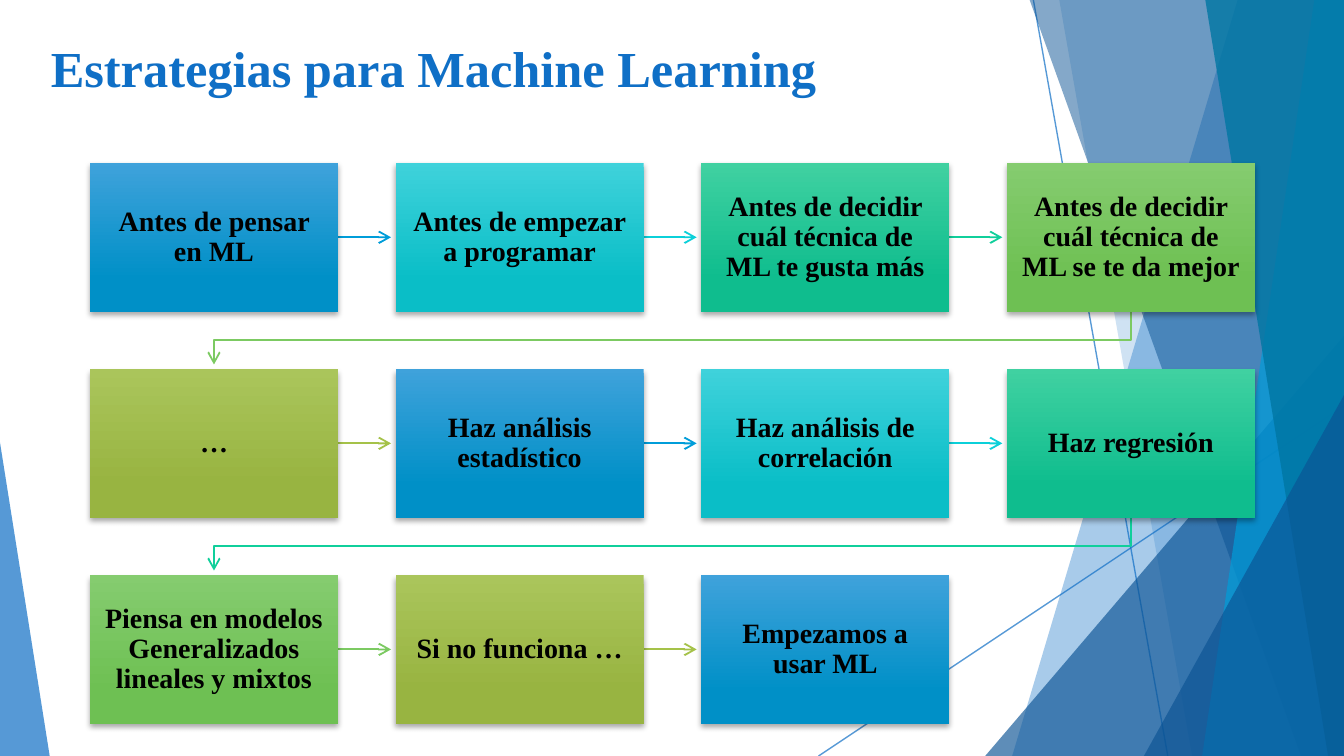
import pptx
import pptx.util
import pptx.dml.color
import pptx.enum.shapes
import pptx.enum.text
import pptx.oxml
import pptx.oxml.ns

Cm = pptx.util.Cm
Pt = pptx.util.Pt
RGBColor = pptx.dml.color.RGBColor
qn = pptx.oxml.ns.qn
PRESETS = pptx.enum.shapes.MSO_SHAPE
STRAIGHT = pptx.enum.shapes.MSO_CONNECTOR.STRAIGHT
ANCHORS = pptx.enum.text.MSO_ANCHOR
ALIGNMENTS = pptx.enum.text.PP_ALIGN

WIDTH, HEIGHT = Cm(25.4), Cm(14.29)
FONT = "Times New Roman"
BLACK = RGBColor(0x00, 0x00, 0x00)
BLUE = RGBColor(0x0F, 0x6F, 0xC6)
NAVY = RGBColor(0x0B, 0x53, 0x94)
SKY = RGBColor(0x00, 0x9D, 0xD9)
PETROL = RGBColor(0x00, 0x76, 0xA3)

# Arrow colour, gradient top, gradient bottom; steps cycle through these
STEP_COLOURS = [
    (SKY, RGBColor(0x3F, 0xA2, 0xDB), RGBColor(0x00, 0x90, 0xC7)),
    (RGBColor(0x0B, 0xD0, 0xD9), RGBColor(0x3F, 0xD2, 0xDB), RGBColor(0x0A, 0xBE, 0xC7)),
    (RGBColor(0x10, 0xCF, 0x9B), RGBColor(0x40, 0xD1, 0xA1), RGBColor(0x0F, 0xBD, 0x8E)),
    (RGBColor(0x7C, 0xCA, 0x62), RGBColor(0x85, 0xCC, 0x6F), RGBColor(0x6E, 0xC0, 0x53)),
    (RGBColor(0xA5, 0xC2, 0x49), RGBColor(0xAA, 0xC5, 0x5B), RGBColor(0x98, 0xB4, 0x41)),
]

STEPS = [
    "Antes de pensar en ML",
    "Antes de empezar a programar",
    "Antes de decidir cuál técnica de ML te gusta más",
    "Antes de decidir cuál técnica de ML se te da mejor",
    "…",
    "Haz análisis estadístico",
    "Haz análisis de correlación",
    "Haz regresión",
    "Piensa en modelos Generalizados lineales y mixtos",
    "Si no funciona …",
    "Empezamos a usar ML",
]
COLUMNS = 4


def add_xml(parent, tag, attributes="", children=""):
    ns = pptx.oxml.ns.nsdecls("a")
    parent.append(pptx.oxml.parse_xml(f"<a:{tag} {ns} {attributes}>{children}</a:{tag}>"))


def set_opacity(shape, percent):
    colour = shape.element.spPr.find(".//" + qn("a:srgbClr"))
    add_xml(colour, "alpha", f'val="{percent * 1000}"')


def paint_panel(panel, colour, opacity):
    panel.shadow.inherit = False
    panel.fill.solid()
    panel.fill.fore_color.rgb = colour
    panel.line.fill.background()
    set_opacity(panel, opacity)


def add_line(slide, start, end, colour, weight):
    line = slide.shapes.add_connector(STRAIGHT, *start, *end)
    line.line.color.rgb = colour
    line.line.width = Pt(weight)
    add_xml(line.element.spPr, "effectLst")
    return line


def add_arrowhead(line):
    add_xml(line.element.spPr.find(qn("a:ln")), "tailEnd", 'type="arrow"')


def add_facets(slide, left, top, width, height):
    """Translucent panels that fan out along the sides of the box."""
    right, bottom = left + width, top + height

    def slanted(top_x, bottom_x, colour, opacity):
        outline = slide.shapes.build_freeform(left + Cm(top_x), top)
        outline.add_line_segments(
            [(right, top), (right, bottom), (left + Cm(bottom_x), bottom)])
        paint_panel(outline.convert_to_shape(), colour, opacity)

    def corner(x, y, panel_width, apex, colour, opacity):
        panel = slide.shapes.add_shape(
            PRESETS.ISOSCELES_TRIANGLE, left + Cm(x), top + Cm(y),
            panel_width, height - Cm(y))
        panel.adjustments[0] = apex
        paint_panel(panel, colour, opacity)

    for start, end in [((19.53, 0), (22.07, 14.29)), ((25.4, 7.67), (15.47, 14.29))]:
        line = add_line(slide, (left + Cm(start[0]), top + Cm(start[1])),
                        (left + Cm(end[0]), top + Cm(end[1])), BLUE, 0.75)
        set_opacity(line, 70)
    slanted(23.39, 19.13, BLUE, 36)
    slanted(20.02, 22.53, BLUE, 20)
    corner(18.62, 6.35, width - Cm(18.62), 1, NAVY, 66)
    slanted(19.46, 24.59, NAVY, 50)
    slanted(24.84, 22.72, SKY, 70)
    slanted(22.78, 25.1, PETROL, 80)
    corner(21.62, 7.47, width - Cm(21.62), 1, NAVY, 66)
    corner(0, 8.36, Cm(0.94), 0, BLUE, 70)


def style_text(frame, size, colour, anchor, alignment, side_inset):
    frame.word_wrap = True
    frame.auto_size = pptx.enum.text.MSO_AUTO_SIZE.NONE
    frame.vertical_anchor = anchor
    frame.margin_left = frame.margin_right = Cm(side_inset)
    frame.margin_top = frame.margin_bottom = Cm(0.25)
    paragraph = frame.paragraphs[0]
    paragraph.alignment = alignment
    paragraph.line_spacing = 0.9 if anchor == ANCHORS.MIDDLE else 1.0
    font = paragraph.runs[0].font
    font.name, font.size, font.bold = FONT, Pt(size), True
    font.color.rgb = colour


def add_title(slide, left, top, width, height):
    title = slide.shapes.title
    title.left, title.top, title.width, title.height = left, top, width, height
    title.text_frame.text = "Estrategias para Machine Learning"
    style_text(title.text_frame, 27, BLUE, ANCHORS.BOTTOM, ALIGNMENTS.LEFT, 0.25)


def add_step(slide, text, colours, left, top, width, height):
    step = slide.shapes.add_shape(PRESETS.RECTANGLE, left, top, width, height)
    step.fill.gradient()
    step.fill.gradient_angle = 270
    for stop, colour, position in zip(step.fill.gradient_stops, colours, (0, 0.78)):
        stop.color.rgb = colour
        stop.position = position
    step.line.fill.background()
    step.shadow.inherit = False
    add_xml(step.element.spPr.find(qn("a:effectLst")), "outerShdw",
            f'blurRad="{Pt(3)}" dist="{Pt(2)}" dir="5400000" rotWithShape="0"',
            '<a:srgbClr val="000000"><a:alpha val="35000"/></a:srgbClr>')
    step.text_frame.text = text
    style_text(step.text_frame, 15, BLACK, ANCHORS.MIDDLE, ALIGNMENTS.CENTER, 0.23)


def add_return_arrow(slide, start, end, colour):
    """Arrow that runs from the end of one row to the start of the next."""
    bend = start[1] + Cm(0.54)
    route = slide.shapes.build_freeform(*start)
    route.add_line_segments([(start[0], bend), (end[0], bend), end], close=False)
    arrow = route.convert_to_shape()
    arrow.shadow.inherit = False
    arrow.fill.background()
    arrow.line.color.rgb = colour
    arrow.line.width = Pt(1)
    add_arrowhead(arrow)


def add_process(slide, left, top, width, height):
    """Steps in rows, joined in reading order."""
    step_width, step_height, reach = Cm(4.69), Cm(2.81), Cm(1)
    rows = -(-len(STEPS) // COLUMNS)
    pitch_x = (width - step_width) // (COLUMNS - 1)
    pitch_y = (height - step_height) // (rows - 1)
    for index, text in enumerate(STEPS):
        row, column = divmod(index, COLUMNS)
        x, y = left + column * pitch_x, top + row * pitch_y
        arrow_colour, *gradient = STEP_COLOURS[index % len(STEP_COLOURS)]
        if index < len(STEPS) - 1:
            if column < COLUMNS - 1:
                start = (x + step_width, y + step_height // 2)
                end = (start[0] + reach, start[1])
                add_arrowhead(add_line(slide, start, end, arrow_colour, 1))
            else:
                start = (x + step_width // 2, y + step_height)
                end = (left + step_width // 2, start[1] + reach)
                add_return_arrow(slide, start, end, arrow_colour)
        add_step(slide, text, gradient, x, y, step_width, step_height)


def main():
    presentation = pptx.Presentation()
    presentation.slide_width, presentation.slide_height = WIDTH, HEIGHT
    slide = presentation.slides.add_slide(presentation.slide_layouts[5])
    add_facets(slide, 0, 0, WIDTH, HEIGHT)
    add_title(slide, Cm(0.71), Cm(0.58), Cm(17.91), Cm(1.52))
    add_process(slide, Cm(1.7), Cm(3.08), Cm(22.02), Cm(10.6))
    presentation.save("out.pptx")


if __name__ == "__main__":
    main()
